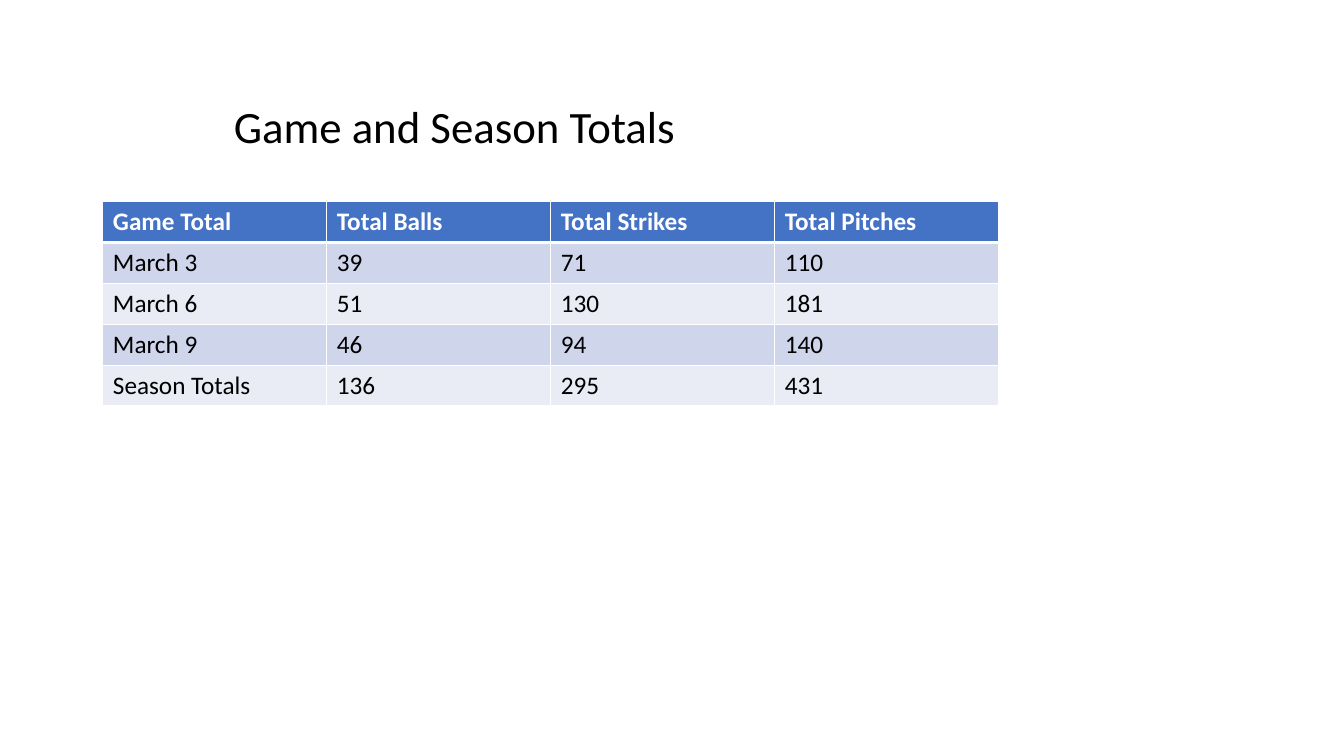
from lxml.etree import SubElement
from pptx import Presentation
from pptx.dml.color import RGBColor
from pptx.enum.text import MSO_AUTO_SIZE as AutoSize
from pptx.oxml.ns import qn
from pptx.util import Pt

FONT = "Calibri"
WHITE, BLACK = "FFFFFF", "000000"
HEADER_FILL, BAND_FILLS = "4472C4", ("CFD5EA", "E9EBF5")
TOTALS = [
    ("Game Total", "Total Balls", "Total Strikes", "Total Pitches"),
    ("March 3", "39", "71", "110"),
    ("March 6", "51", "130", "181"),
    ("March 9", "46", "94", "140"),
    ("Season Totals", "136", "295", "431"),
]


def color(hex_code):
    """Turn a hex string into a colour."""
    return RGBColor.from_string(hex_code)


def write(frame, text, size, ink, bold=False):
    """Put one formatted paragraph into a text frame."""
    frame.text = text
    font = frame.paragraphs[0].runs[0].font
    font.name, font.size, font.bold = FONT, Pt(size), bold
    font.color.rgb = color(ink)


def add_borders(cell, **widths):
    """Draw white cell borders, with widths in points for L, R, T and B."""
    properties = cell._tc.get_or_add_tcPr()
    for side, width in widths.items():
        line = SubElement(properties, qn(f"a:ln{side}"), w=str(Pt(width)))
        fill = SubElement(line, qn("a:solidFill"))
        SubElement(fill, qn("a:srgbClr"), val=WHITE)


def add_title(slide, left, top, width, height):
    """Place the slide heading in its box."""
    heading = slide.shapes.add_textbox(Pt(left), Pt(top), Pt(width), Pt(height))
    frame = heading.text_frame
    write(frame, "Game and Season Totals", 32, BLACK)
    frame.word_wrap = True
    frame.auto_size = AutoSize.SHAPE_TO_FIT_TEXT


def add_totals(slide, left, top, width, height):
    """Place the banded pitch-count table in its box."""
    table = slide.shapes.add_table(
        len(TOTALS), len(TOTALS[0]), Pt(left), Pt(top), Pt(width), Pt(height)
    ).table
    for row_index, entries in enumerate(TOTALS):
        is_header = row_index == 0
        fill = HEADER_FILL if is_header else BAND_FILLS[(row_index - 1) % 2]
        for column_index, entry in enumerate(entries):
            cell = table.cell(row_index, column_index)
            write(cell.text_frame, entry, 18, WHITE if is_header else BLACK, is_header)
            add_borders(cell, L=1, R=1, T=3 if row_index == 1 else 1, B=3 if is_header else 1)
            cell.fill.solid()
            cell.fill.fore_color.rgb = color(fill)


def main():
    """Build the slide and save it."""
    deck = Presentation()
    deck.slide_width, deck.slide_height = Pt(960), Pt(540)
    slide = deck.slides.add_slide(deck.slide_layouts[6])
    add_totals(slide, 73.5, 144, 640, 146)
    add_title(slide, 160, 67, 629, 46)
    deck.save("out.pptx")


main()
